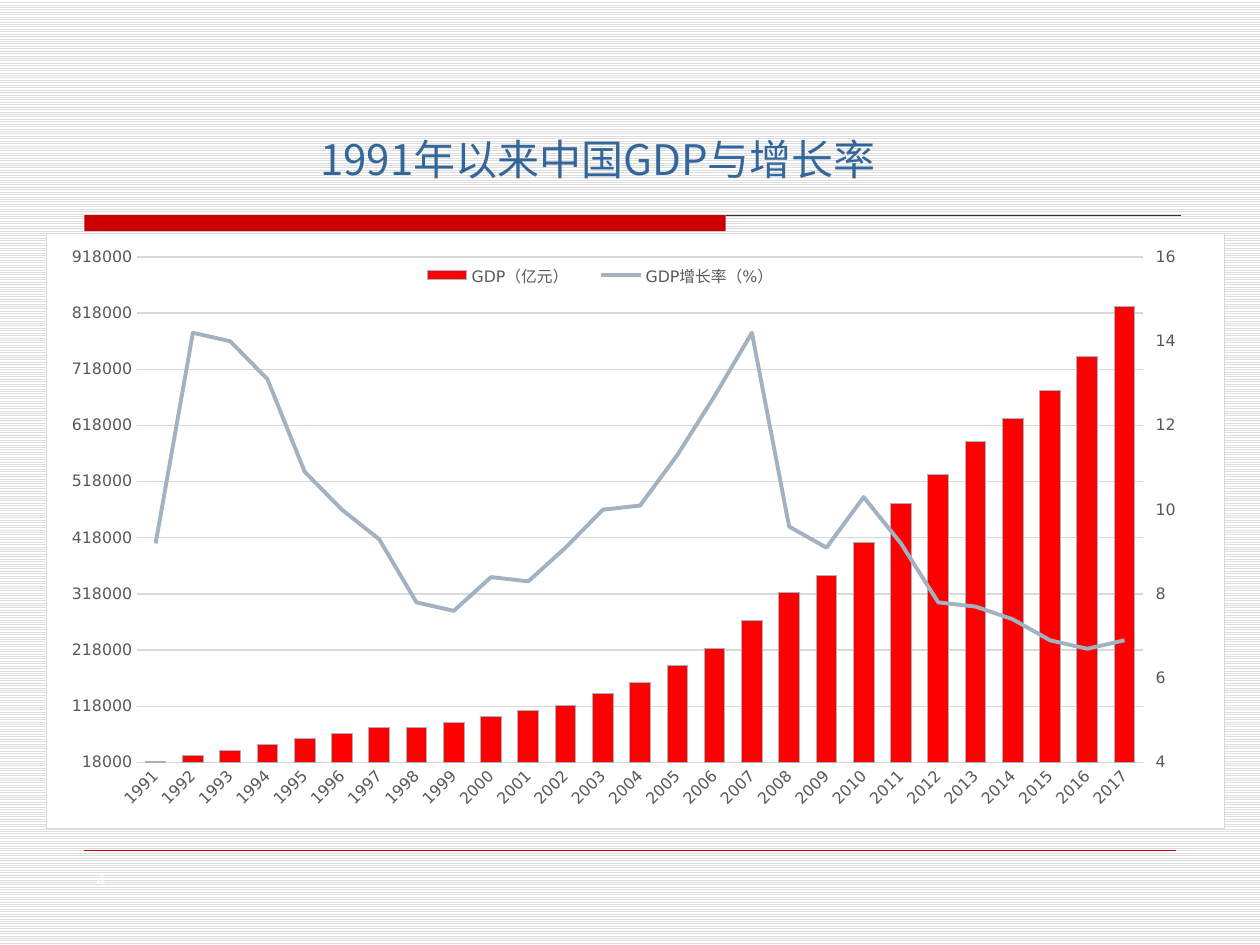
import copy

import lxml.etree
import pptx
import pptx.chart.axis
import pptx.chart.data
import pptx.dml.color
import pptx.enum.chart
import pptx.enum.dml
import pptx.enum.shapes
import pptx.enum.text
import pptx.oxml
import pptx.oxml.ns
import pptx.util

Cm = pptx.util.Cm
Pt = pptx.util.Pt
qn = pptx.oxml.ns.qn

SANS = "DejaVu Sans"
HAN = "Noto Sans CJK SC"
RED, GREY, PALE, STEEL = "CC0000", "595959", "D9D9D9", "A3B2C1"

YEARS = [str(year) for year in range(1991, 2018)]
GDP = [20000, 30000, 40000, 50000, 60000, 70000, 80000, 80000, 90000,
       100000, 110000, 120000, 140000, 160000, 190000, 220000, 270000,
       320000, 350000, 410000, 480000, 530000, 590000, 630000, 680000,
       740000, 830000]
GROWTH = [9.2, 14.2, 14, 13.1, 10.9, 10, 9.3, 7.8, 7.6, 8.4, 8.3, 9.1, 10,
          10.1, 11.3, 12.7, 14.2, 9.6, 9.1, 10.3, 9.2, 7.8, 7.7, 7.4, 6.9,
          6.7, 6.9]


def color(code):
    return pptx.dml.color.RGBColor.from_string(code)


def paint(fill, code):
    fill.solid()
    fill.fore_color.rgb = color(code)


def stroke(line, code, width):
    paint(line.fill, code)
    line.width = Pt(width)


def style(font, size, code, name=SANS):
    font.size = Pt(size)
    font.name = name
    font.color.rgb = color(code)


def place(shape, left, top, width, height):
    shape.left, shape.top = Cm(left), Cm(top)
    shape.width, shape.height = Cm(width), Cm(height)


def add_rule(slide, left, right, top, code, width):
    rule = slide.shapes.add_connector(
        pptx.enum.shapes.MSO_CONNECTOR.STRAIGHT,
        Cm(left), Cm(top), Cm(right), Cm(top))
    stroke(rule.line, code, width)
    lxml.etree.SubElement(rule._element.spPr, qn("a:effectLst"))


def add_bar(slide):
    bar = slide.shapes.add_shape(
        pptx.enum.shapes.MSO_SHAPE.RECTANGLE,
        Cm(1.7), Cm(4.34), Cm(12.93), Cm(0.32))
    bar.shadow.inherit = False
    paint(bar.fill, RED)
    bar.line.fill.background()


def set_text(shape, text, size, code, align, name):
    frame = shape.text_frame
    frame.word_wrap = True
    frame.margin_left = frame.margin_right = 0
    frame.margin_top = frame.margin_bottom = 0
    frame.vertical_anchor = pptx.enum.text.MSO_ANCHOR.MIDDLE
    frame.text = text
    para = frame.paragraphs[0]
    para.alignment = align
    style(para.font, size, code, name)
    props = para._p.get_or_add_pPr().find(qn("a:defRPr"))
    lxml.etree.SubElement(props, qn("a:ea")).set("typeface", name)


def make_layout(left, top, width, height, inner=False):
    """Return a manual layout, in fractions of the chart."""
    layout = lxml.etree.Element(qn("c:layout"))
    manual = lxml.etree.SubElement(layout, qn("c:manualLayout"))
    items = [("layoutTarget", "inner")] if inner else []
    items += [("xMode", "edge"), ("yMode", "edge"), ("x", left), ("y", top),
              ("w", width), ("h", height)]
    for tag, value in items:
        lxml.etree.SubElement(manual, qn("c:" + tag)).set("val", str(value))
    return layout


def drop(parent, tag):
    for child in parent.findall(qn(tag)):
        parent.remove(child)


def set_frame(chart):
    """Give the chart area its white fill and thin border."""
    frame = pptx.oxml.parse_xml(
        f'<c:spPr {pptx.oxml.ns.nsdecls("c", "a")}>'
        '<a:solidFill><a:srgbClr val="FFFFFF"/></a:solidFill>'
        f'<a:ln w="9525"><a:solidFill><a:srgbClr val="{PALE}"/></a:solidFill>'
        '</a:ln></c:spPr>')
    chart._chartSpace.find(qn("c:chart")).addnext(frame)


def scale(axis, low, high, step):
    axis.minimum_scale, axis.maximum_scale = low, high
    axis.major_unit = step


def set_axes(chart):
    none = pptx.enum.chart.XL_TICK_MARK.NONE
    for axis in (chart.category_axis, chart.value_axis):
        axis.major_tick_mark = axis.minor_tick_mark = none
        style(axis.tick_labels.font, 9, GREY)
    stroke(chart.category_axis.format.line, PALE, 0.75)
    labels = chart.category_axis._element.find(qn("c:txPr"))
    labels.find(qn("a:bodyPr")).set("rot", "-2700000")
    value = chart.value_axis
    scale(value, 18000, 918000, 100000)
    value.format.line.fill.background()
    value.has_major_gridlines = True
    stroke(value.major_gridlines.format.line, PALE, 0.75)


def split_line(chart):
    """Move the second series to a line plot on a right-hand axis."""
    bars = chart.plots[0]._element
    area = bars.getparent()
    series = bars.findall(qn("c:ser"))[1]
    drop(series, "c:invertIfNegative")
    line = pptx.oxml.parse_xml(
        f'<c:lineChart {pptx.oxml.ns.nsdecls("c")}>'
        '<c:grouping val="standard"/><c:varyColors val="0"/>'
        '<c:marker val="1"/><c:axId val="501"/><c:axId val="502"/>'
        '</c:lineChart>')
    line.insert(2, series)
    bars.addnext(line)

    right = copy.deepcopy(chart.value_axis._element)
    base = copy.deepcopy(chart.category_axis._element)
    for axis, own, other in ((right, "502", "501"), (base, "501", "502")):
        axis.find(qn("c:axId")).set("val", own)
        axis.find(qn("c:crossAx")).set("val", other)
    right.find(qn("c:axPos")).set("val", "r")
    right.find(qn("c:crosses")).set("val", "max")
    base.find(qn("c:delete")).set("val", "1")
    chart.value_axis._element.addnext(right)
    right.addnext(base)

    axis = pptx.chart.axis.ValueAxis(right)
    axis.has_major_gridlines = False
    axis.major_tick_mark = pptx.enum.chart.XL_TICK_MARK.OUTSIDE
    scale(axis, 4, 16, 2)
    drop(area, "c:layout")
    area.insert(0, make_layout(0.077, 0.04, 0.854, 0.849, inner=True))


def set_legend(chart):
    chart.has_legend = True
    legend = chart.legend
    legend.position = pptx.enum.chart.XL_LEGEND_POSITION.RIGHT
    legend.include_in_layout = True
    style(legend.font, 9, GREY)
    drop(legend._element, "c:layout")
    legend._element.find(qn("c:legendPos")).addnext(
        make_layout(0.3, 0.045, 0.34, 0.05))


def add_chart(slide):
    data = pptx.chart.data.CategoryChartData()
    data.categories = YEARS
    data.add_series("GDP（亿元）", GDP)
    data.add_series("GDP增长率（%）", GROWTH)
    chart = slide.shapes.add_chart(
        pptx.enum.chart.XL_CHART_TYPE.COLUMN_CLUSTERED,
        Cm(0.92), Cm(4.69), Cm(23.78), Cm(12.03), data).chart
    chart.has_title = False
    style(chart.font, 10, "000000")
    set_frame(chart)
    set_axes(chart)
    split_line(chart)
    set_legend(chart)

    bars, lines = chart.plots
    bars.gap_width = 80
    bars.vary_by_categories = False
    paint(bars.series[0].format.fill, "FF0000")
    stroke(bars.series[0].format.line, STEEL, 0)
    growth = lines.series[0]
    growth.smooth = False
    growth.marker.style = pptx.enum.chart.XL_MARKER_STYLE.NONE
    stroke(growth.format.line, STEEL, 2.25)


def set_back(slide):
    fill = slide.background.fill
    fill.patterned()
    fill.pattern = pptx.enum.dml.MSO_PATTERN.LIGHT_HORIZONTAL
    fill.fore_color.rgb = color("DDDDDD")
    fill.back_color.rgb = color("FFFFFF")


def main():
    deck = pptx.Presentation()
    deck.slide_width, deck.slide_height = Cm(25.4), Cm(19.05)
    slide = deck.slides.add_slide(deck.slide_layouts[5])
    align = pptx.enum.text.PP_ALIGN
    set_back(slide)
    add_bar(slide)
    add_rule(slide, 14.63, 23.8, 4.34, "333333", 0.75)
    add_rule(slide, 1.7, 23.7, 17.15, RED, 0.25)
    title = slide.shapes.title
    place(title, 5.31, 2.69, 13.49, 1.02)
    set_text(title, "1991年以来中国GDP与增长率", 24, "336699", align.CENTER, HAN)
    title.text_frame.auto_size = pptx.enum.text.MSO_AUTO_SIZE.SHAPE_TO_FIT_TEXT
    add_chart(slide)
    number = slide.shapes.add_textbox(Cm(1.95), Cm(17.4), Cm(1), Cm(0.7))
    set_text(number, "4", 10, "FFFFFF", align.LEFT, HAN)
    deck.save("out.pptx")


if __name__ == "__main__":
    main()
